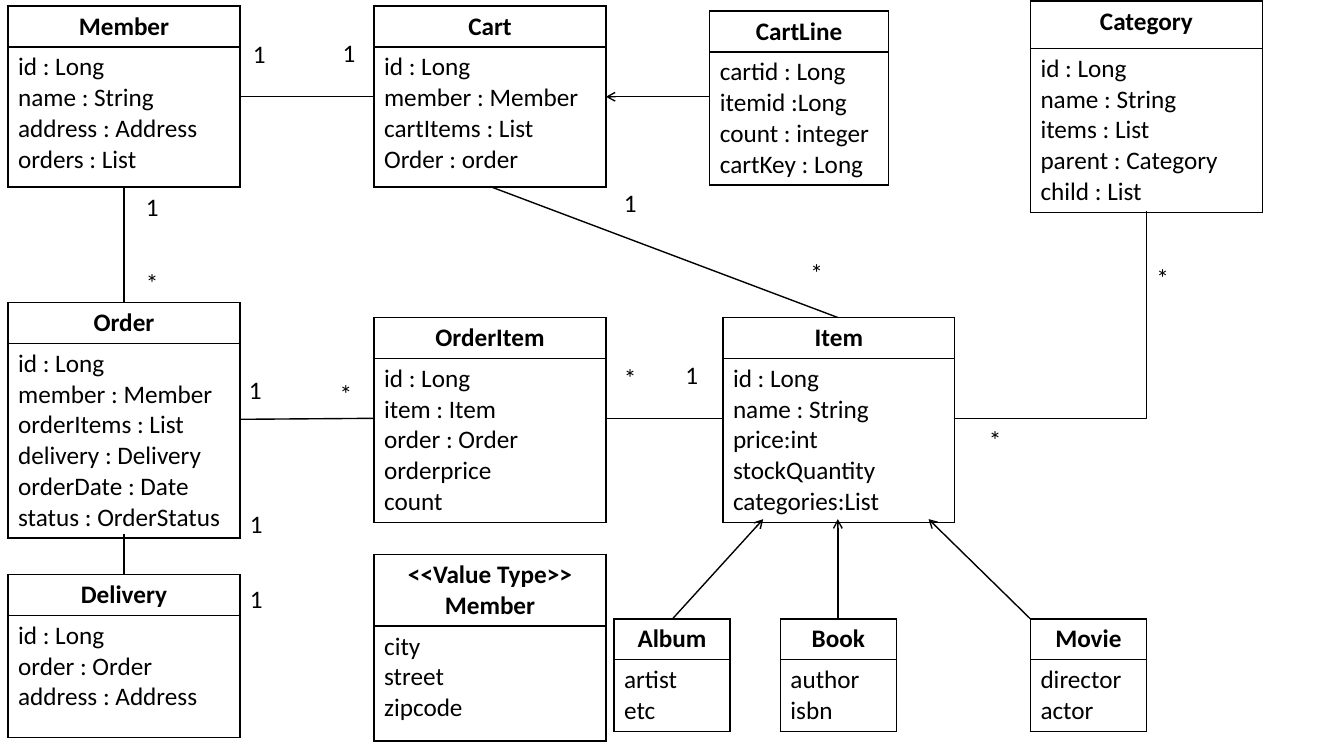
from dataclasses import dataclass

from lxml.etree import SubElement
from pptx import Presentation
from pptx.dml.color import RGBColor
from pptx.enum.shapes import MSO_CONNECTOR
from pptx.enum.text import PP_ALIGN
from pptx.oxml.ns import qn
from pptx.util import Inches, Pt


@dataclass(frozen=True)
class Theme:
    """Colours, font and sizes of the diagram."""
    ink: RGBColor = RGBColor(0, 0, 0)
    paper: RGBColor = RGBColor(255, 255, 255)
    font: str = "Calibri"
    text_size: int = 18
    line_width: int = 1


THEME = Theme()
BLANK_LAYOUT = 6
HEADER_HEIGHT = 0.4

# name, left, top, width, height, header height, attributes
ENTITIES = [
    ("Member", 0.08, 0.06, 2.3, 1.79, HEADER_HEIGHT,
     ["id : Long", "name : String", "address : Address", "orders : List"]),
    ("Cart", 3.71, 0.06, 2.3, 1.79, HEADER_HEIGHT,
     ["id : Long", "member : Member", "cartItems : List", "Order : order"]),
    ("CartLine", 7.04, 0.11, 1.77, 1.72, HEADER_HEIGHT,
     ["cartid : Long", "itemid :Long", "count : integer", "cartKey : Long"]),
    ("Category", 10.22, 0.01, 2.3, 2.08, 0.47,
     ["id : Long", "name : String", "items : List", "parent : Category", "child : List"]),
    ("Order", 0.08, 3, 2.3, 2.3, HEADER_HEIGHT,
     ["id : Long", "member : Member", "orderItems : List", "delivery : Delivery",
      "orderDate : Date", "status : OrderStatus"]),
    ("OrderItem", 3.71, 3.15, 2.3, 2, HEADER_HEIGHT,
     ["id : Long", "item : Item", "order : Order", "orderprice", "count"]),
    ("Item", 7.17, 3.15, 2.3, 2, HEADER_HEIGHT,
     ["id : Long", "name : String", "price:int", "stockQuantity", "categories:List"]),
    ("Delivery", 0.08, 5.7, 2.3, 1.61, HEADER_HEIGHT,
     ["id : Long", "order : Order", "address : Address"]),
    ("<<Value Type>>\nMember", 3.71, 5.5, 2.3, 1.84, 0.7, ["city", "street", "zipcode"]),
    ("Album", 6.09, 6.14, 1.15, 1.11, HEADER_HEIGHT, ["artist", "etc"]),
    ("Book", 7.74, 6.14, 1.15, 1.11, HEADER_HEIGHT, ["author", "isbn"]),
    ("Movie", 10.22, 6.14, 1.15, 1.11, HEADER_HEIGHT, ["director", "actor"]),
]

ASSOCIATIONS = [
    ((1.23, 1.85), (1.23, 3)),        # Member to Order
    ((2.38, 0.96), (3.71, 0.96)),     # Member to Cart
    ((2.38, 4.16), (3.71, 4.15)),     # Order to OrderItem
    ((6.01, 4.15), (7.17, 4.15)),     # OrderItem to Item
    ((8.31, 3.15), (4.86, 1.85)),     # Item to Cart
    ((1.23, 5.3), (1.23, 5.7)),       # Order to Delivery
]
ARROWS = [
    ((6.67, 6.14), (7.57, 5.15)),     # Album to Item
    ((8.31, 6.14), (8.31, 5.15)),     # Book to Item
    ((10.22, 6.14), (9.21, 5.15)),    # Movie to Item
    ((7.04, 0.96), (6.01, 0.96)),     # CartLine to Cart
]
ITEM_TO_CATEGORY = ((9.46, 4.15), (11.37, 2.09))

MULTIPLICITIES = {
    "1": [(1.35, 1.85), (2.37, 3.66), (6.7, 3.52), (2.38, 4.99), (2.38, 5.74),
          (6.09, 1.81), (2.41, 0.33), (3.3, 0.32)],
    "*": [(1.35, 2.6), (11.37, 2.55), (9.71, 4.16), (3.27, 3.7), (6.09, 3.55),
          (7.94, 2.5)],
}


def write_text(text_frame, text, bold=False, alignment=PP_ALIGN.LEFT):
    """Fill a text frame and format all of its runs."""
    text_frame.text = text
    for paragraph in text_frame.paragraphs:
        paragraph.alignment = alignment
        for run in paragraph.runs:
            run.font.name = THEME.font
            run.font.size = Pt(THEME.text_size)
            run.font.bold = bold
            run.font.color.rgb = THEME.ink


def format_cell(cell):
    """Give a cell thin borders on all sides and a plain fill."""
    properties = cell._tc.get_or_add_tcPr()
    for side in ("a:lnL", "a:lnR", "a:lnT", "a:lnB"):
        border = SubElement(properties, qn(side), w=str(Pt(THEME.line_width)))
        fill = SubElement(border, qn("a:solidFill"))
        SubElement(fill, qn("a:srgbClr"), val=str(THEME.ink))
    cell.fill.solid()
    cell.fill.fore_color.rgb = THEME.paper


def add_entity(slide, name, left, top, width, height, header_height, attributes):
    """Add a class box: a name row above a row of attributes."""
    frame = slide.shapes.add_table(
        2, 1, Inches(left), Inches(top), Inches(width), Inches(height))
    table = frame.table
    table.horz_banding = False
    table.rows[0].height = Inches(header_height)
    table.rows[1].height = Inches(height - header_height)
    header, body = table.cell(0, 0), table.cell(1, 0)
    write_text(header.text_frame, name, bold=True, alignment=PP_ALIGN.CENTER)
    write_text(body.text_frame, "\n".join(attributes))
    for cell in (header, body):
        format_cell(cell)


def add_relation(slide, start, end, kind=MSO_CONNECTOR.STRAIGHT, arrow=False):
    """Add a connector, with an open arrowhead at its end if asked."""
    points = [Inches(value) for value in (*start, *end)]
    connector = slide.shapes.add_connector(kind, *points)
    connector.line.color.rgb = THEME.ink
    connector.line.width = Pt(THEME.line_width)
    properties = connector._element.spPr
    if arrow:
        SubElement(properties.find(qn("a:ln")), qn("a:tailEnd"), type="arrow")
    SubElement(properties, qn("a:effectLst"))
    return connector


def add_corner_relation(slide, start, end):
    """Add a connector that goes sideways and then turns once."""
    connector = add_relation(slide, start, end, MSO_CONNECTOR.ELBOW)
    geometry = connector._element.spPr.find(qn("a:prstGeom"))
    geometry.set("prst", "bentConnector2")


def add_multiplicity(slide, symbol, left, top):
    """Add a small label beside the end of a relation."""
    label = slide.shapes.add_textbox(Inches(left), Inches(top), Inches(0.37), Inches(0.4))
    label.text_frame.word_wrap = True
    write_text(label.text_frame, symbol)


def main():
    """Build the class diagram and save it."""
    presentation = Presentation()
    presentation.slide_width = Inches(13.33)
    presentation.slide_height = Inches(7.5)
    slide = presentation.slides.add_slide(presentation.slide_layouts[BLANK_LAYOUT])
    for entity in ENTITIES:
        add_entity(slide, *entity)
    for start, end in ASSOCIATIONS:
        add_relation(slide, start, end)
    for start, end in ARROWS:
        add_relation(slide, start, end, arrow=True)
    add_corner_relation(slide, *ITEM_TO_CATEGORY)
    for symbol, places in MULTIPLICITIES.items():
        for left, top in places:
            add_multiplicity(slide, symbol, left, top)
    presentation.save("out.pptx")


main()
